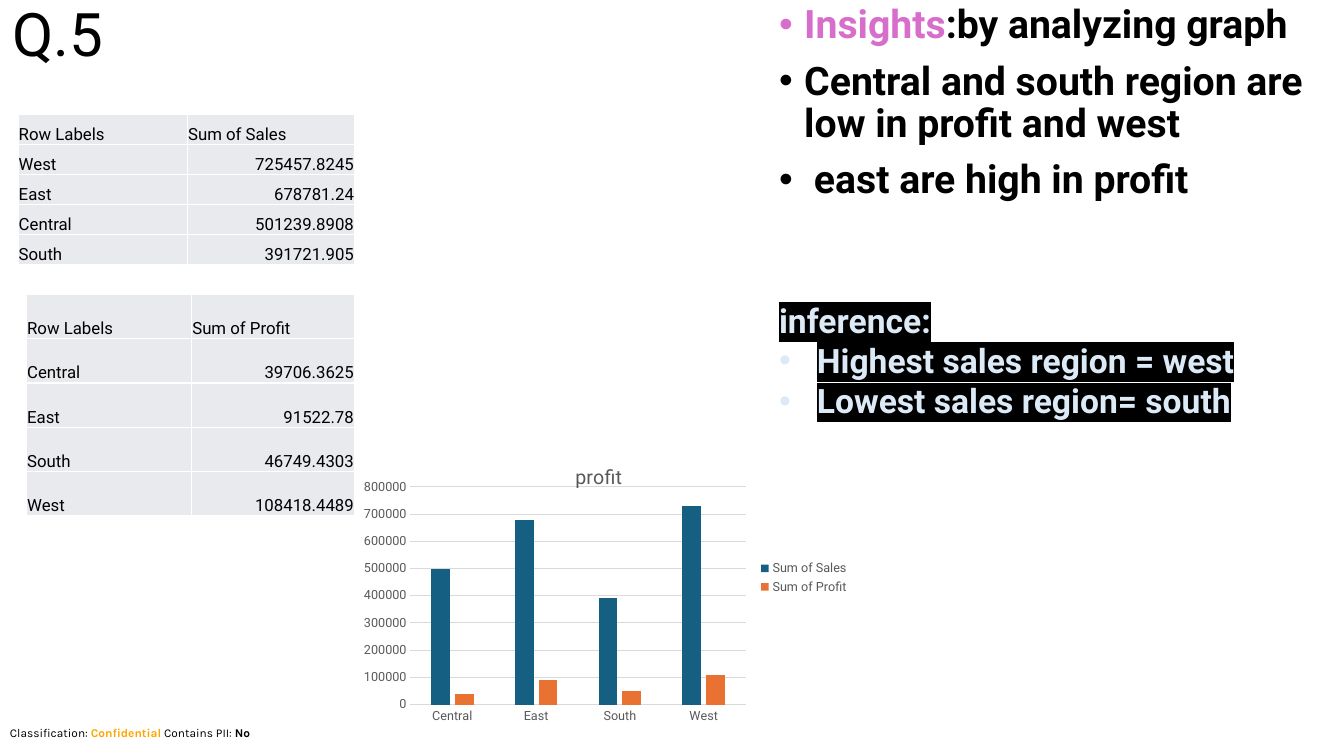
from dataclasses import dataclass

from lxml.etree import SubElement
from pptx import Presentation
from pptx.chart.data import CategoryChartData as ChartData
from pptx.dml.color import RGBColor as Rgb
from pptx.enum.chart import XL_CHART_TYPE as ChartType
from pptx.enum.chart import XL_LEGEND_POSITION as LegendPosition
from pptx.enum.chart import XL_TICK_MARK as TickMark
from pptx.enum.text import MSO_ANCHOR as Anchor
from pptx.enum.text import MSO_AUTO_SIZE as AutoSize
from pptx.enum.text import PP_ALIGN as Align
from pptx.oxml import parse_xml
from pptx.oxml.ns import nsdecls, qn
from pptx.util import Pt


@dataclass(frozen=True)
class Theme:
    font: str = "Roboto"
    footer_font: str = "Karla"
    black: str = "000000"
    white: str = "FFFFFF"
    orange: str = "FFA500"
    pink: str = "D86ECC"
    pale_blue: str = "DCEAF7"
    cell: str = "E8EAED"
    grey: str = "595959"
    grid: str = "D9D9D9"
    bars: tuple[str, ...] = ("156082", "E97132")
    title_size: float = 42.9
    insight_size: float = 28
    inference_size: float = 24
    chart_title_size: float = 14
    chart_size: float = 10
    cell_size: float = 12
    axis_size: float = 9
    footer_size: float = 8.5


THEME = Theme()


@dataclass(frozen=True)
class Span:
    text: str
    size: float
    color: str = THEME.black
    bold: bool = False
    font: str = THEME.font
    highlight: str = ""


@dataclass(frozen=True)
class Para:
    spans: tuple[Span, ...]
    indent: float = 0
    line_spacing: float = 1
    before: float = 0


@dataclass(frozen=True)
class TextBlock:
    left: float
    top: float
    width: float
    height: float
    paras: tuple[Para, ...]


@dataclass(frozen=True)
class RegionTable:
    left: float
    top: float
    columns: tuple[float, float]
    row_height: float
    measure: str
    values: dict[str, float]


SALES = RegionTable(12.9, 82, (121, 119.5), 21.45, "Sum of Sales", {
    "West": 725457.8245, "East": 678781.24, "Central": 501239.8908, "South": 391721.905})
PROFIT = RegionTable(18.9, 210.2, (118, 116.4), 31.68, "Sum of Profit", {
    "Central": 39706.3625, "East": 91522.78, "South": 46749.4303, "West": 108418.4489})


def insight(*spans: Span) -> Para:
    return Para(spans, indent=18, line_spacing=0.9, before=10)


def insight_span(text: str, color: str = THEME.black) -> Span:
    return Span(text, THEME.insight_size, color, True)


def inference(text: str, indent: float = 27) -> Para:
    return Para((Span(text, THEME.inference_size, THEME.pale_blue, True,
                      highlight=THEME.black),), indent)


def footer_span(text: str, color: str = THEME.black, bold: bool = False) -> Span:
    return Span(text, THEME.footer_size, color, bold, THEME.footer_font)


TITLE = TextBlock(1.4, 0, 147.6, 62, (
    Para((Span("Q.5", THEME.title_size),), line_spacing=0.9),))
TEXT_BLOCKS = (
    TextBlock(0, 514.8, 960, 17.3, (Para((
        footer_span("Classification: "), footer_span("Confidential", THEME.orange, True),
        footer_span(" Contains PII: "), footer_span("No", bold=True))),)),
    TextBlock(549.4, 0, 410.4, 117.4, (
        insight(insight_span("Insights", THEME.pink), insight_span(":by analyzing graph")),
        insight(insight_span("Central and south region are low in profit and west")),
        insight(insight_span(" east are high in profit")))),
    TextBlock(549.4, 210.5, 365.8, 94.3, (
        inference("inference:", 0),
        inference("Highest sales region = west"),
        inference("Lowest sales region= south"))),
)


def set_font(font, size: float, color: str, name: str = THEME.font, bold: bool = False) -> None:
    font.size, font.name, font.bold = Pt(size), name, bold
    font.color.rgb = Rgb.from_string(color)


def add_span(para, span: Span) -> None:
    run = para.add_run()
    run.text = span.text
    run.font.color.rgb = Rgb.from_string(span.color)
    if span.highlight:
        mark = SubElement(run.font._element, qn("a:highlight"))
        SubElement(mark, qn("a:srgbClr"), val=span.highlight)
    set_font(run.font, span.size, span.color, span.font, span.bold)


def fill_frame(frame, paras: tuple[Para, ...]) -> None:
    frame.word_wrap, frame.auto_size = True, AutoSize.NONE
    frame.vertical_anchor = Anchor.TOP
    for index, item in enumerate(paras):
        para = frame.add_paragraph() if index else frame.paragraphs[0]
        para.alignment = Align.LEFT
        para.line_spacing, para.space_before = item.line_spacing, Pt(item.before)
        if item.indent:
            props = para._p.get_or_add_pPr()
            props.set("marL", str(Pt(item.indent)))
            props.set("indent", str(-Pt(item.indent)))
            SubElement(props, qn("a:buFont"), typeface="Arial")
            SubElement(props, qn("a:buChar"), char="•")
        for span in item.spans:
            add_span(para, span)


def add_title(page, block: TextBlock) -> None:
    title = page.shapes.title
    title.left, title.top = Pt(block.left), Pt(block.top)
    title.width, title.height = Pt(block.width), Pt(block.height)
    fill_frame(title.text_frame, block.paras)


def add_text(page, block: TextBlock) -> None:
    box = page.shapes.add_textbox(*map(Pt, (block.left, block.top, block.width, block.height)))
    fill_frame(box.text_frame, block.paras)


def format_cell(cell, text: str, align: Align) -> None:
    cell.margin_left = cell.margin_right = cell.margin_top = Pt(0.5)
    cell.margin_bottom = Pt(0)
    cell.vertical_anchor = Anchor.BOTTOM
    cell.fill.solid()
    cell.fill.fore_color.rgb = Rgb.from_string(THEME.cell)
    for index, side in enumerate(("lnL", "lnR", "lnT", "lnB")):
        cell._tc.tcPr.insert(index, parse_xml(
            f'<a:{side} {nsdecls("a")} w="{Pt(1)}"><a:solidFill>'
            f'<a:srgbClr val="{THEME.white}"/></a:solidFill></a:{side}>'))
    para = cell.text_frame.paragraphs[0]
    para.alignment = align
    add_span(para, Span(text, THEME.cell_size))


def add_region_table(page, data: RegionTable) -> None:
    rows = [("Row Labels", data.measure), *((name, str(v)) for name, v in data.values.items())]
    table = page.shapes.add_table(
        len(rows), 2, Pt(data.left), Pt(data.top),
        Pt(sum(data.columns)), Pt(data.row_height * len(rows))).table
    table.first_row = table.horz_banding = False
    for column, width in zip(table.columns, data.columns):
        column.width = Pt(width)
    for r, row in enumerate(rows):
        table.rows[r].height = Pt(data.row_height)
        for c, text in enumerate(row):
            format_cell(table.cell(r, c), text, Align.RIGHT if r and c else Align.LEFT)


def set_layout(element, index: int, target: str = "", **place: float) -> None:
    """Place a chart part by fractions of the chart area."""
    for old in element.findall(qn("c:layout")):
        element.remove(old)
    layout = parse_xml(f'<c:layout {nsdecls("c")}/>')
    manual = SubElement(layout, qn("c:manualLayout"))
    if target:
        SubElement(manual, qn("c:layoutTarget"), val=target)
    for mode in ("xMode", "yMode"):
        SubElement(manual, qn(f"c:{mode}"), val="edge")
    for name, value in place.items():
        SubElement(manual, qn(f"c:{name}"), val=str(value))
    element.insert(index, layout)


def add_profit_chart(page) -> None:
    # Values to the nearest ten thousand
    data = ChartData()
    data.categories = list(PROFIT.values)
    for table in (SALES, PROFIT):
        data.add_series(table.measure, [round(table.values[name], -4) for name in PROFIT.values])
    chart = page.shapes.add_chart(
        ChartType.COLUMN_CLUSTERED, Pt(253.6), Pt(304.6), Pt(360), Pt(216), data).chart
    set_font(chart.font, THEME.chart_size, THEME.black)

    # Title and plot area
    chart.has_title = True
    add_span(chart.chart_title.text_frame.paragraphs[0],
             Span("profit", THEME.chart_title_size, THEME.grey))
    set_layout(chart.chart_title._element, 1, x=0.43, y=0.11)
    set_layout(chart._chartSpace.chart.plotArea, 0, "inner", x=0.11, y=0.2, w=0.665, h=0.72)

    # Bars
    plot = chart.plots[0]
    plot.gap_width, plot.overlap, plot.vary_by_categories = 219, -27, False
    for series, color in zip(plot.series, THEME.bars):
        series.format.fill.solid()
        series.format.fill.fore_color.rgb = Rgb.from_string(color)

    # Axes and legend
    for axis in (chart.category_axis, chart.value_axis):
        axis.major_tick_mark = axis.minor_tick_mark = TickMark.NONE
        set_font(axis.tick_labels.font, THEME.axis_size, THEME.grey)
    chart.value_axis.minimum_scale, chart.value_axis.maximum_scale = 0, 800000
    chart.value_axis.major_unit = 100000
    chart.value_axis.format.line.fill.background()
    for part in (chart.category_axis, chart.value_axis.major_gridlines):
        part.format.line.width = Pt(0.75)
        part.format.line.color.rgb = Rgb.from_string(THEME.grid)
    chart.has_legend = True
    chart.legend.position, chart.legend.include_in_layout = LegendPosition.RIGHT, False
    set_font(chart.legend.font, THEME.axis_size, THEME.grey)


def main() -> None:
    deck = Presentation()
    deck.slide_width, deck.slide_height = Pt(960), Pt(540)
    page = deck.slides.add_slide(deck.slide_layouts.get_by_name("Title Only"))
    add_title(page, TITLE)
    for block in TEXT_BLOCKS:
        add_text(page, block)
    for table in (SALES, PROFIT):
        add_region_table(page, table)
    add_profit_chart(page)
    deck.save("out.pptx")


if __name__ == "__main__":
    main()
